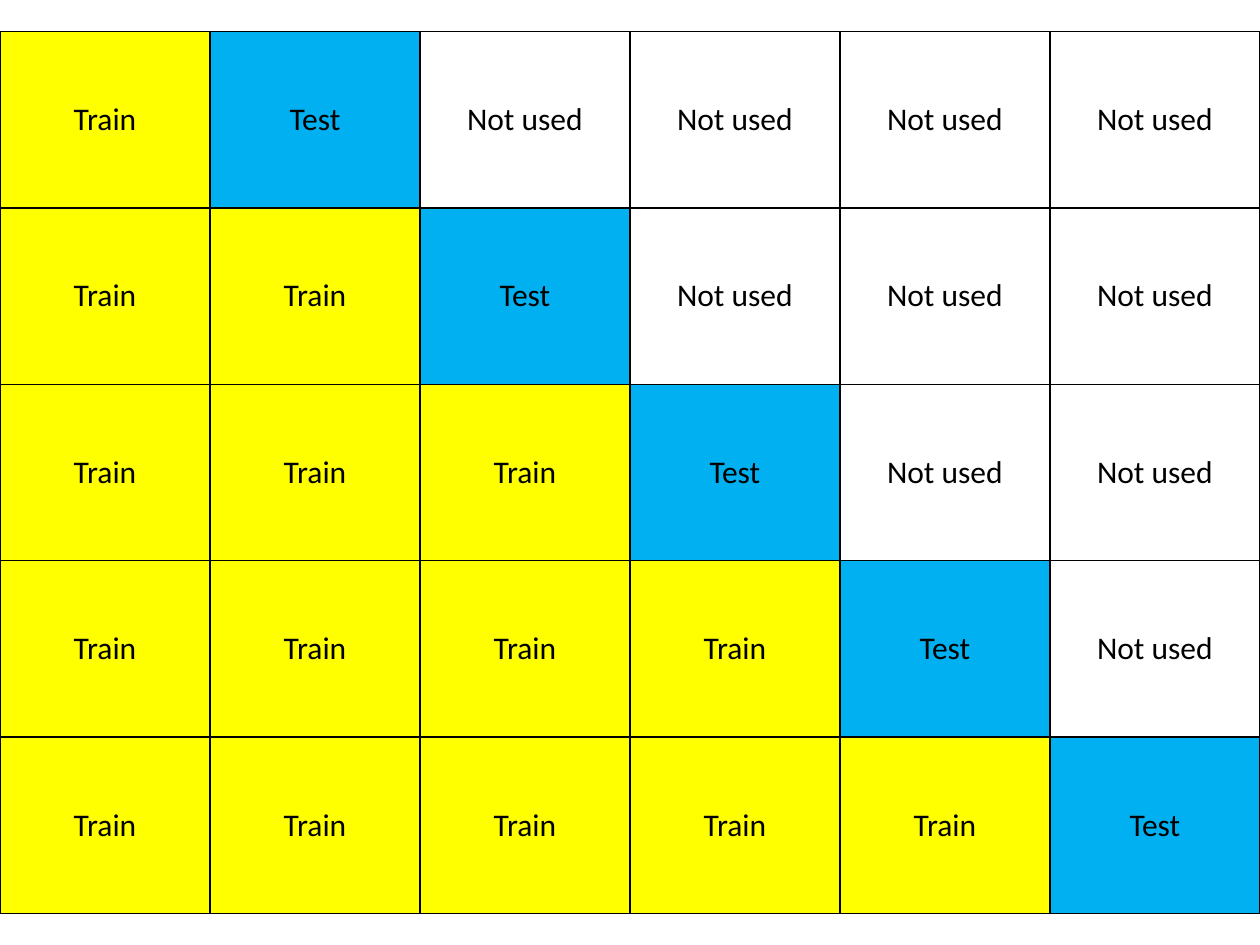
from typing import NamedTuple, Optional

from lxml import etree
from pptx import Presentation
from pptx.dml.color import RGBColor
from pptx.enum.text import MSO_ANCHOR, PP_ALIGN
from pptx.oxml.ns import qn
from pptx.util import Inches, Pt

MIDDLE = MSO_ANCHOR.MIDDLE
CENTER = PP_ALIGN.CENTER
BLACK = "000000"
FOLDS = 5
PERIODS = FOLDS + 1


class Role(NamedTuple):
    label: str
    fill: Optional[str]


TRAIN = Role("Train", "FFFF00")
TEST = Role("Test", "00B0F0")
NOT_USED = Role("Not used", None)


def rgb(color: str) -> RGBColor:
    return RGBColor.from_string(color)


def role_of(fold: int, period: int) -> Role:
    """Train on every period up to the fold, then test on the next one."""
    if period <= fold:
        return TRAIN
    return TEST if period == fold + 1 else NOT_USED


def set_borders(cell, color: str, width: Pt) -> None:
    tc_pr = cell._tc.get_or_add_tcPr()
    for side in ("lnL", "lnR", "lnT", "lnB"):
        ln = etree.SubElement(tc_pr, qn(f"a:{side}"), w=str(width))
        fill = etree.SubElement(ln, qn("a:solidFill"))
        etree.SubElement(fill, qn("a:srgbClr"), val=color)


def draw_cell(cell, role: Role) -> None:
    # Borders must precede the fill in the cell properties.
    set_borders(cell, BLACK, Pt(1))
    if role.fill:
        cell.fill.solid()
        cell.fill.fore_color.rgb = rgb(role.fill)
    else:
        cell.fill.background()
    cell.vertical_anchor = MIDDLE
    cell.margin_left = cell.margin_right = Inches(0.07)
    cell.margin_top = cell.margin_bottom = 0
    p = cell.text_frame.paragraphs[0]
    p.text = role.label
    p.alignment = CENTER
    font = p.runs[0].font
    font.name = "Calibri"
    font.size = Pt(18)
    font.color.rgb = rgb(BLACK)


def main() -> None:
    prs = Presentation()
    prs.slide_width, prs.slide_height = Inches(10), Inches(7.5)
    slide = prs.slides.add_slide(prs.slide_layouts[6])
    table = slide.shapes.add_table(
        FOLDS, PERIODS, 0, Inches(0.25), Inches(10), Inches(7)
    ).table
    table.first_row = False
    table.horz_banding = False
    for fold in range(FOLDS):
        for period in range(PERIODS):
            draw_cell(table.cell(fold, period), role_of(fold, period))
    prs.save("out.pptx")


if __name__ == "__main__":
    main()
